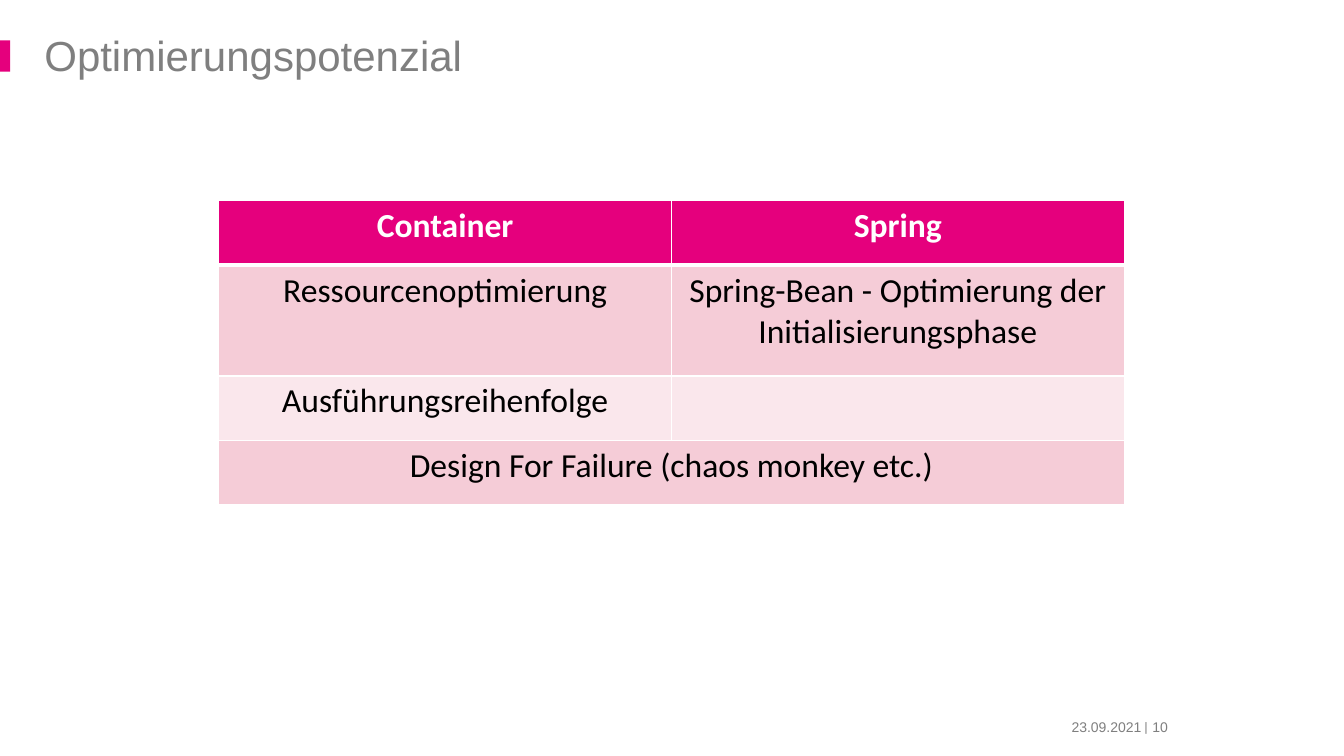
from lxml import etree
from pptx import Presentation
from pptx.dml.color import RGBColor
from pptx.enum import shapes, text
from pptx.oxml import ns
from pptx.util import Inches, Pt

MAGENTA = RGBColor(0xE5, 0x00, 0x7D)
ROSE = RGBColor(0xF5, 0xCC, 0xD7)
PALE_ROSE = RGBColor(0xFA, 0xE7, 0xEC)
GREY = RGBColor(0x7F, 0x7F, 0x7F)
WHITE = RGBColor(0xFF, 0xFF, 0xFF)
BLACK = RGBColor(0x00, 0x00, 0x00)

TABLE_ROWS = [
    ("Container", "Spring"),
    ("Ressourcenoptimierung", "Spring-Bean - Optimierung der Initialisierungsphase"),
    ("Ausführungsreihenfolge", ""),
    ("Design For Failure (chaos monkey etc.)", None),
]
ROW_HEIGHTS = [0.64, 1.1, 0.64, 0.64]


class SlideBuilder:
    def __init__(self, slide):
        self.slide = slide

    def style(self, paragraph, size, color, font="Arial", bold=False, align=text.PP_ALIGN.LEFT):
        paragraph.alignment = align
        paragraph.font.name = font
        paragraph.font.size = Pt(size)
        paragraph.font.bold = bold
        paragraph.font.color.rgb = color

    def bar(self, left, top, width, height, color):
        shape = self.slide.shapes.add_shape(
            shapes.MSO_SHAPE.RECTANGLE, *map(Inches, (left, top, width, height)))
        shape.shadow.inherit = False
        shape.fill.solid()
        shape.fill.fore_color.rgb = color
        shape.line.fill.background()

    def label(self, words, left, top, width, height, size=10, font="Arial",
              align=text.PP_ALIGN.LEFT, anchor=text.MSO_ANCHOR.MIDDLE,
              margins=(0, 0, 0, 0), line_spacing=1.0, wrap=True):
        box = self.slide.shapes.add_textbox(*map(Inches, (left, top, width, height)))
        frame = box.text_frame
        frame.word_wrap = wrap
        frame.vertical_anchor = anchor
        (frame.margin_left, frame.margin_top,
         frame.margin_right, frame.margin_bottom) = map(Inches, margins)
        paragraph = frame.paragraphs[0]
        paragraph.text = words
        paragraph.line_spacing = line_spacing
        self.style(paragraph, size, GREY, font, align=align)

    def borders(self, cell, bottom_width):
        properties = cell._tc.get_or_add_tcPr()
        for side, width in (("L", 1), ("R", 1), ("T", 1), ("B", bottom_width)):
            line = etree.SubElement(properties, ns.qn(f"a:ln{side}"), w=str(Pt(width)))
            fill = etree.SubElement(line, ns.qn("a:solidFill"))
            etree.SubElement(fill, ns.qn("a:srgbClr"), val=str(WHITE))

    def table(self, rows, left, top, width, row_heights):
        """Add a table with a header and banded rows; None joins the cell to its left."""
        columns = len(rows[0])
        table = self.slide.shapes.add_table(
            len(rows), columns, Inches(left), Inches(top),
            Inches(width), Inches(sum(row_heights))).table
        for row_index, (row, height) in enumerate(zip(rows, row_heights)):
            table.rows[row_index].height = Inches(height)
            header = row_index == 0
            color = MAGENTA if header else (ROSE if row_index % 2 else PALE_ROSE)
            for column_index, words in enumerate(row):
                cell = table.cell(row_index, column_index)
                self.borders(cell, 3 if header else 1)
                cell.fill.solid()
                cell.fill.fore_color.rgb = color
                if words is None:
                    table.cell(row_index, column_index - 1).merge(cell)
                    continue
                paragraph = cell.text_frame.paragraphs[0]
                paragraph.text = words
                self.style(paragraph, 24, WHITE if header else BLACK, "Calibri",
                           bold=header, align=text.PP_ALIGN.CENTER)


def main():
    presentation = Presentation()
    presentation.slide_width = Inches(13.33)
    presentation.slide_height = Inches(7.5)
    builder = SlideBuilder(presentation.slides.add_slide(presentation.slide_layouts[6]))

    builder.bar(0, 0.4, 0.1, 0.31, MAGENTA)
    builder.label("Optimierungspotenzial", 0.24, 0.35, 8.99, 0.41, size=30,
                  anchor=text.MSO_ANCHOR.TOP, margins=(0.2, 0, 0.1, 0.05), line_spacing=0.9)
    builder.table(TABLE_ROWS, 2.17, 1.99, 8.98, ROW_HEIGHTS)
    builder.label("23.09.2021", 10.35, 7.11, 0.97, 0.2, align=text.PP_ALIGN.RIGHT)
    builder.label("|", 11.35, 7.13, 0.1, 0.17, font="Roboto",
                  anchor=text.MSO_ANCHOR.TOP, wrap=False)
    builder.label("10", 11.43, 7.11, 0.37, 0.2)

    presentation.save("out.pptx")


if __name__ == "__main__":
    main()
